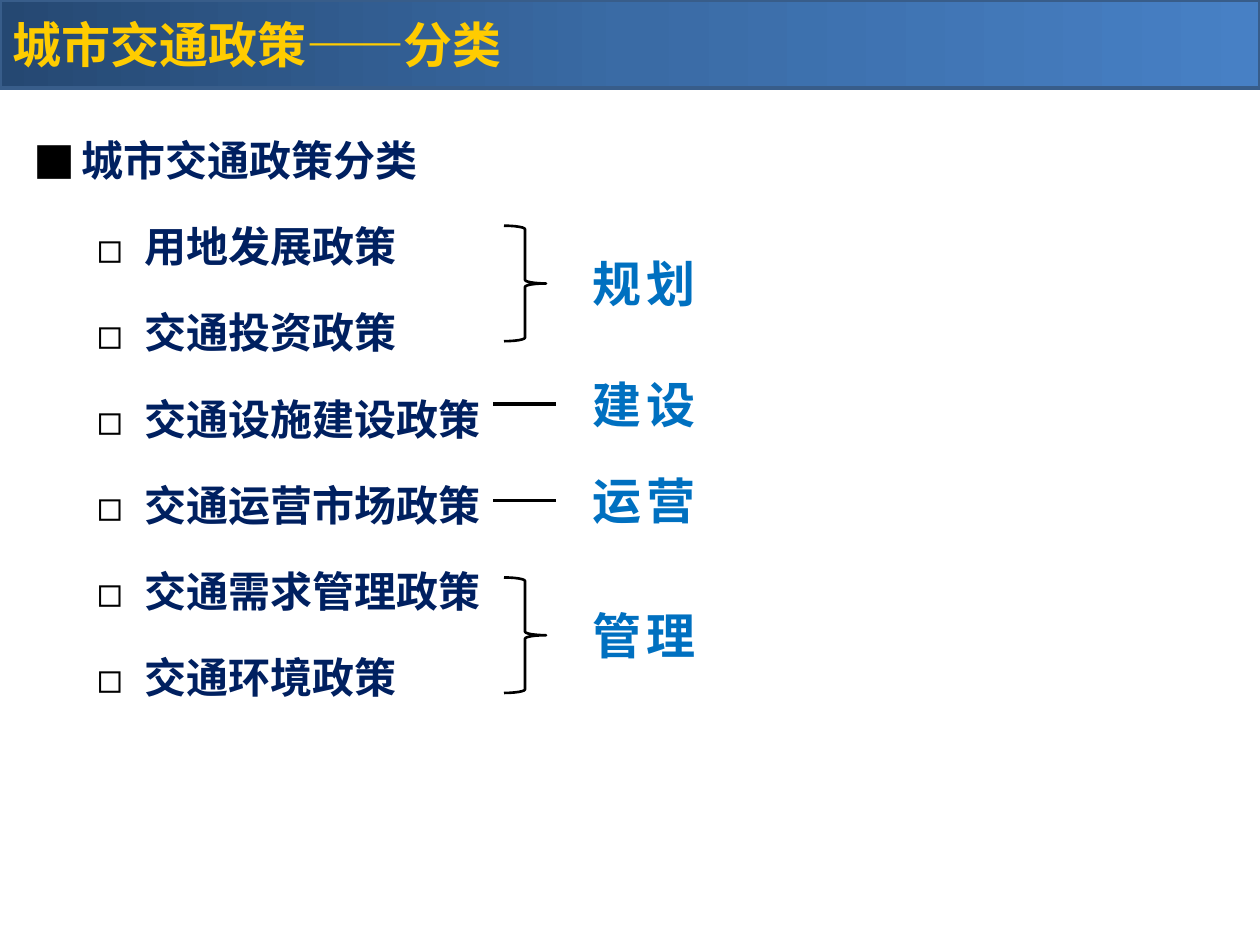
from dataclasses import dataclass

from lxml import etree
from pptx import Presentation
from pptx.dml.color import RGBColor
from pptx.enum import shapes, text
from pptx.oxml import ns
from pptx.util import Pt


@dataclass(frozen=True)
class Theme:
    font: str = "Noto Sans CJK SC"
    title: str = "FFCC00"
    title_line: str = "385D8A"
    gradient: tuple = (("0", "254872"), ("50000", "3A6BA5"), ("100000", "4780C5"))
    body: str = "002060"
    label: str = "0070C0"
    ink: str = "000000"
    big: int = 28
    normal: int = 24


THEME = Theme()
POLICIES = ["用地发展政策", "交通投资政策", "交通设施建设政策",
            "交通运营市场政策", "交通需求管理政策", "交通环境政策"]
STAGES = [("规划", 162, True), ("建设", 231, False),
          ("运营", 286, False), ("管理", 363, True)]


def sub(parent, tag, **attrs):
    return etree.SubElement(parent, ns.qn(tag), attrs)


def apply(obj, **values):
    for name, value in values.items():
        setattr(obj, name, value)


def place(sp, box):
    apply(sp, **dict(zip(("left", "top", "width", "height"), map(Pt, box))))


def write(p, words, size, color):
    r = p.add_run()
    r.text = words
    apply(r.font, name=THEME.font, size=Pt(size), bold=True)
    r.font.color.rgb = RGBColor.from_string(color)
    rpr = r.font._element
    sub(rpr, "a:ea", typeface=THEME.font)
    return rpr


def outline(sp, color, width):
    sp.line.color.rgb = RGBColor.from_string(color)
    sp.line.width = Pt(width)


def add_title(s, box, words):
    sp = s.shapes.title
    place(sp, box)
    sp.fill.gradient()
    sp.fill.gradient_angle = 0
    stops = sp._element.spPr.find(".//" + ns.qn("a:gsLst"))
    for stop in list(stops):
        stops.remove(stop)
    for pos, color in THEME.gradient:
        sub(sub(stops, "a:gs", pos=pos), "a:srgbClr", val=color)
    outline(sp, THEME.title_line, 2)
    tf = sp.text_frame
    apply(tf, vertical_anchor=text.MSO_ANCHOR.MIDDLE, word_wrap=True,
          auto_size=text.MSO_AUTO_SIZE.NONE)
    p = tf.paragraphs[0]
    p.alignment = text.PP_ALIGN.LEFT
    write(p, words, THEME.big, THEME.title)


def add_policies(s, box, heading, policies):
    sp = s.placeholders[1]
    place(sp, box)
    tf = sp.text_frame
    apply(tf, word_wrap=True, auto_size=text.MSO_AUTO_SIZE.NONE)
    items = [(heading, 0, "■")] + [(words, 1, "◻") for words in policies]
    for i, (words, level, bullet) in enumerate(items):
        p = tf.add_paragraph() if i else tf.paragraphs[0]
        apply(p, level=level, line_spacing=1.5, space_before=Pt(0), space_after=Pt(6))
        ppr = p._p.get_or_add_pPr()
        ppr.set("marL", str(Pt(27 + 36 * level)))
        ppr.set("indent", str(Pt(-27)))
        sub(sub(ppr, "a:buClr"), "a:srgbClr", val=THEME.ink)
        sub(ppr, "a:buFont", typeface=THEME.font)
        sub(ppr, "a:buChar", char=bullet)
        write(p, words, THEME.normal, THEME.body)


def add_stage(s, box, words, grouped):
    x, y, w, h = box
    middle = y + h / 2
    if grouped:
        sp = s.shapes.add_shape(shapes.MSO_SHAPE.RIGHT_BRACE,
                                Pt(x + 6), Pt(y), Pt(24), Pt(h))
        sp.shadow.inherit = False
        sp.fill.background()
        outline(sp, THEME.ink, 1.5)
    else:
        sp = s.shapes.add_connector(shapes.MSO_CONNECTOR.STRAIGHT,
                                    Pt(x), Pt(middle), Pt(x + 35.5), Pt(middle))
        outline(sp, THEME.ink, 2.25)
        sub(sp._element.spPr, "a:effectLst")
    sp = s.shapes.add_textbox(Pt(x + 41), Pt(middle - 20.5), Pt(w - 41), Pt(41))
    tf = sp.text_frame
    tf.word_wrap = True
    p = tf.paragraphs[0]
    p.alignment = text.PP_ALIGN.CENTER
    write(p, words, THEME.big, THEME.label).set("spc", "300")


def main():
    prs = Presentation()
    apply(prs, slide_width=Pt(720), slide_height=Pt(540))
    s = prs.slides.add_slide(prs.slide_layouts[1])
    add_title(s, (0, 0, 720, 50.4), "城市交通政策——分类")
    add_policies(s, (12.2, 59, 696.2, 344.2), "城市交通政策分类", POLICIES)
    for words, middle, grouped in STAGES:
        add_stage(s, (282, middle - 33, 131, 66), words, grouped)
    prs.save("out.pptx")


if __name__ == "__main__":
    main()
